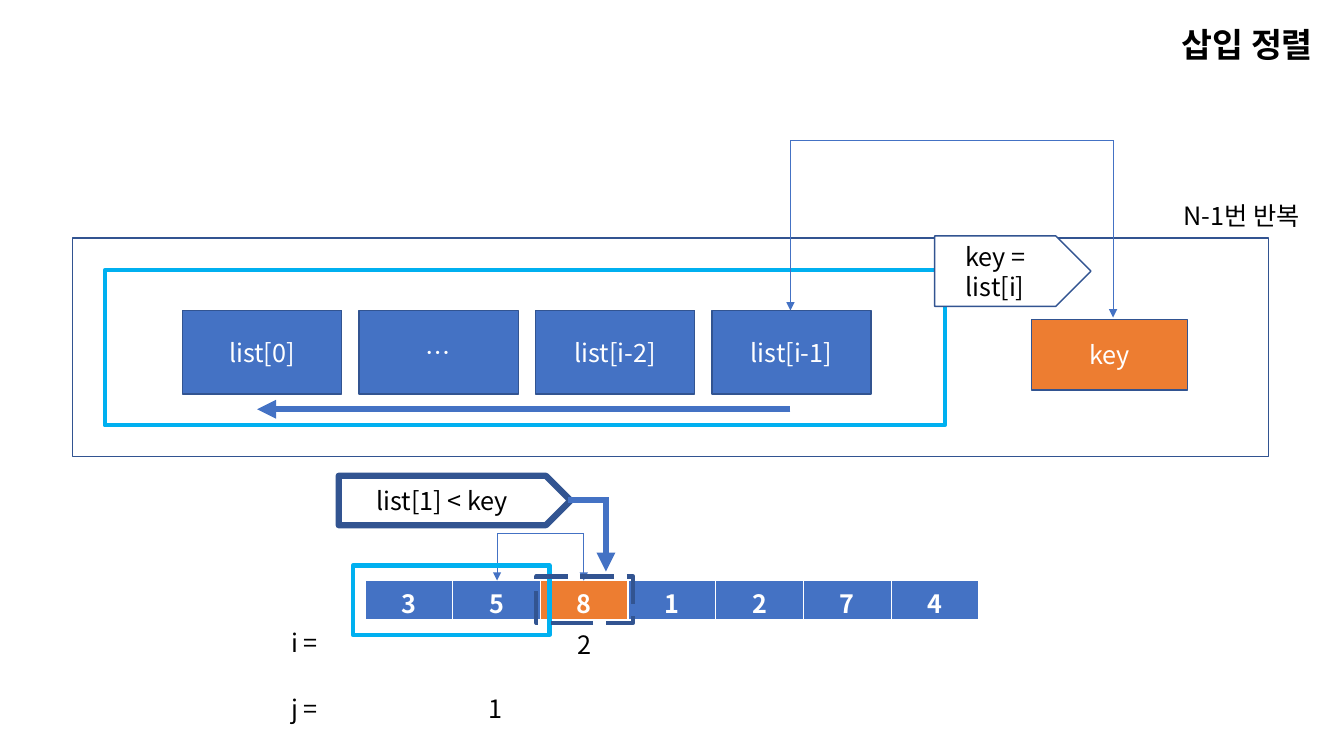
from lxml.etree import SubElement
from pptx import Presentation
from pptx.dml.color import RGBColor
from pptx.enum.dml import MSO_LINE
from pptx.enum.shapes import MSO_CONNECTOR, MSO_SHAPE
from pptx.enum.text import MSO_ANCHOR, MSO_AUTO_SIZE, PP_ALIGN
from pptx.oxml.ns import qn
from pptx.util import Pt

PX = 9144
FONT = "Noto Sans CJK KR"
BLUE, NAVY, CYAN, ORANGE = "4472C4", "325491", "00B0F0", "ED7D31"
WHITE, BLACK = "FFFFFF", "000000"


def px(*lengths):
    return [length * PX for length in lengths]


def color(value):
    return RGBColor.from_string(value)


def write(frame, text, ink, size=18, bold=False, align=PP_ALIGN.CENTER):
    para = frame.paragraphs[0]
    para.text = text
    para.alignment = align
    para.font.name = FONT
    para.font.size = Pt(size)
    para.font.bold = bold
    para.font.color.rgb = color(ink)


def add_label(page, text, left, top, width, height=40, size=18, bold=False,
              align=PP_ALIGN.LEFT, wrap=False):
    box = page.shapes.add_textbox(*px(left, top, width, height))
    box.text_frame.word_wrap = wrap
    box.text_frame.auto_size = MSO_AUTO_SIZE.SHAPE_TO_FIT_TEXT
    write(box.text_frame, text, BLACK, size, bold, align)


def add_box(page, kind, place, line, weight=1, fill=None, text="", ink=WHITE):
    box = page.shapes.add_shape(kind, *px(*place))
    box.shadow.inherit = False
    if fill:
        box.fill.solid()
        box.fill.fore_color.rgb = color(fill)
    else:
        box.fill.background()
    box.line.color.rgb = color(line)
    box.line.width = Pt(weight)
    if text:
        box.text_frame.word_wrap = True
        box.text_frame.vertical_anchor = MSO_ANCHOR.MIDDLE
        write(box.text_frame, text, ink)
    return box


def add_tag(page, text, place, weight):
    tag = add_box(page, MSO_SHAPE.RIGHT_ARROW, place, NAVY, weight, WHITE, text, BLACK)
    tag.adjustments[0] = 1
    tag.adjustments[1] = 0.5


def add_line(page, start, end, weight, arrow=False):
    line = page.shapes.add_connector(MSO_CONNECTOR.STRAIGHT, *px(*start, *end))
    line.line.color.rgb = color(BLUE)
    line.line.width = Pt(weight)
    if arrow:
        SubElement(line.line._get_or_add_ln(), qn("a:tailEnd"), type="triangle")
    SubElement(line._element.spPr, qn("a:effectLst"))


def add_bridge(page, left, right, top, left_end, right_end):
    add_line(page, (left, top), (right, top), 0.5)
    add_line(page, (left, top), (left, left_end), 0.5, True)
    add_line(page, (right, top), (right, right_end), 0.5, True)


def add_border(cell, side, weight):
    properties = cell._tc.get_or_add_tcPr()
    border = SubElement(properties, qn(f"a:ln{side}"), w=str(Pt(weight)))
    fill = SubElement(border, qn("a:solidFill"))
    SubElement(fill, qn("a:srgbClr"), val=WHITE)


def add_number_row(page, numbers, key_index, left, top, cell_width, height):
    place = px(left, top, cell_width * len(numbers), height)
    table = page.shapes.add_table(1, len(numbers), *place).table
    for index, number in enumerate(numbers):
        table.columns[index].width = cell_width * PX
        cell = table.cell(0, index)
        cell.margin_top, cell.margin_bottom = px(4, 0)
        for side, weight in (("L", 1), ("R", 1), ("T", 1), ("B", 3)):
            add_border(cell, side, weight)
        cell.fill.solid()
        cell.fill.fore_color.rgb = color(ORANGE if index == key_index else BLUE)
        write(cell.text_frame, str(number), WHITE, bold=True)


def add_loop_diagram(page):
    process = MSO_SHAPE.FLOWCHART_PROCESS
    add_box(page, process, (104, 268, 833, 154), CYAN, 3)
    add_box(page, process, (1023, 317, 155, 70), NAVY, fill=ORANGE, text="key")
    add_box(page, process, (72, 236, 1186, 217), NAVY)
    add_label(page, "N-1번 반복", 1164, 194, 148)
    for index, name in enumerate(("list[0]", "…", "list[i-2]", "list[i-1]")):
        place = (181 + 175 * index, 308, 158, 83)
        add_box(page, process, place, NAVY, fill=BLUE, text=name)
    add_tag(page, "key = list[i]", (927, 234, 155, 70), 1)
    add_line(page, (784, 406), (255, 406), 4.5, True)
    add_bridge(page, 784, 1104, 139, 308, 315)


def add_example(page):
    add_label(page, "i =", 279, 617, 53)
    add_label(page, "2", 563, 619, 34)
    add_label(page, "j =", 279, 683, 53)
    add_label(page, "1", 475, 683, 34)
    add_number_row(page, (3, 5, 8, 1, 2, 7, 4), 2, 362, 576, 87, 40)
    add_bridge(page, 493, 579, 529, 576, 576)
    add_tag(page, "list[1] < key", (336, 472, 230, 49), 4.5)
    add_box(page, MSO_SHAPE.RECTANGLE, (350, 561, 195, 69), CYAN, 3)
    add_line(page, (604, 496), (563, 496), 4.5)
    add_line(page, (601, 496), (601, 567), 4.5, True)
    key_frame = add_box(page, MSO_SHAPE.RECTANGLE, (532, 572, 96, 46), NAVY, 3)
    key_frame.line.dash_style = MSO_LINE.LONG_DASH


def main():
    deck = Presentation()
    deck.slide_width, deck.slide_height = px(1333, 750)
    page = deck.slides.add_slide(deck.slide_layouts[6])
    add_label(page, "삽입 정렬", 998, 19, 314, 50, 24, True, PP_ALIGN.RIGHT, True)
    add_loop_diagram(page)
    add_example(page)
    deck.save("out.pptx")


if __name__ == "__main__":
    main()
